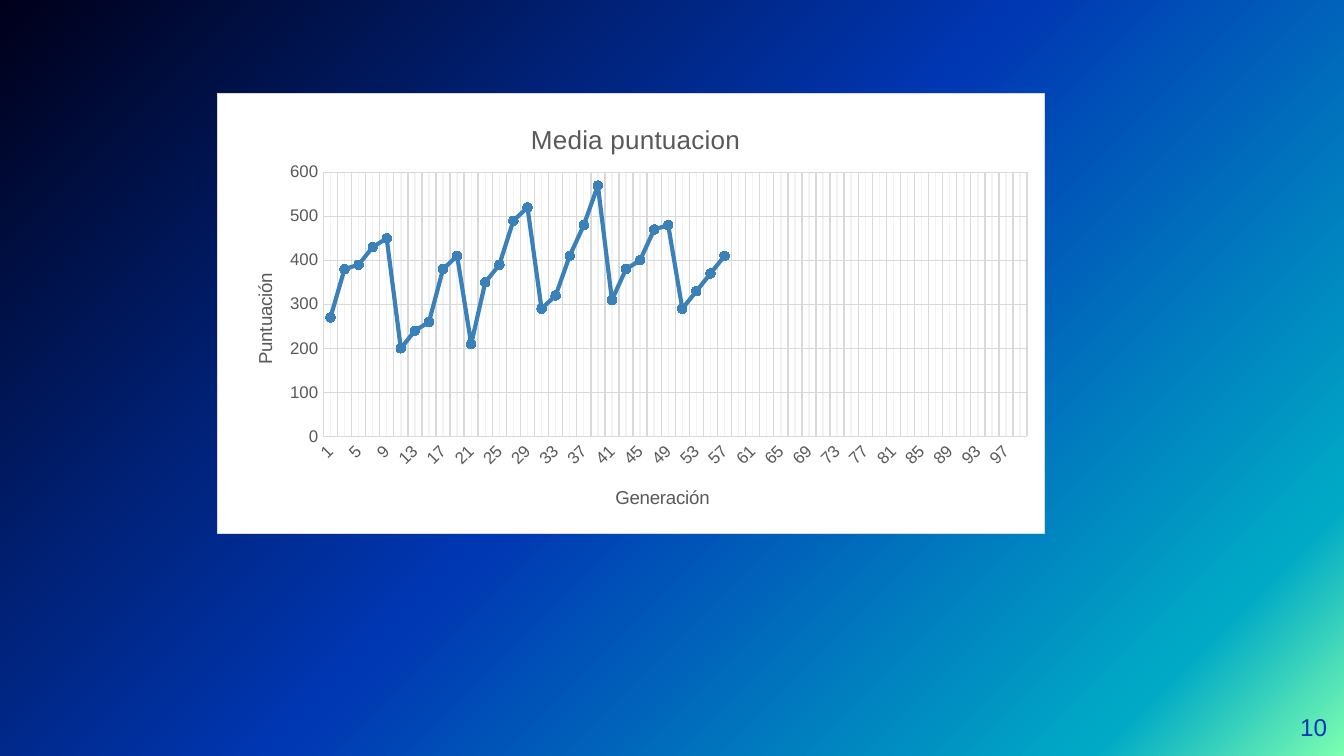
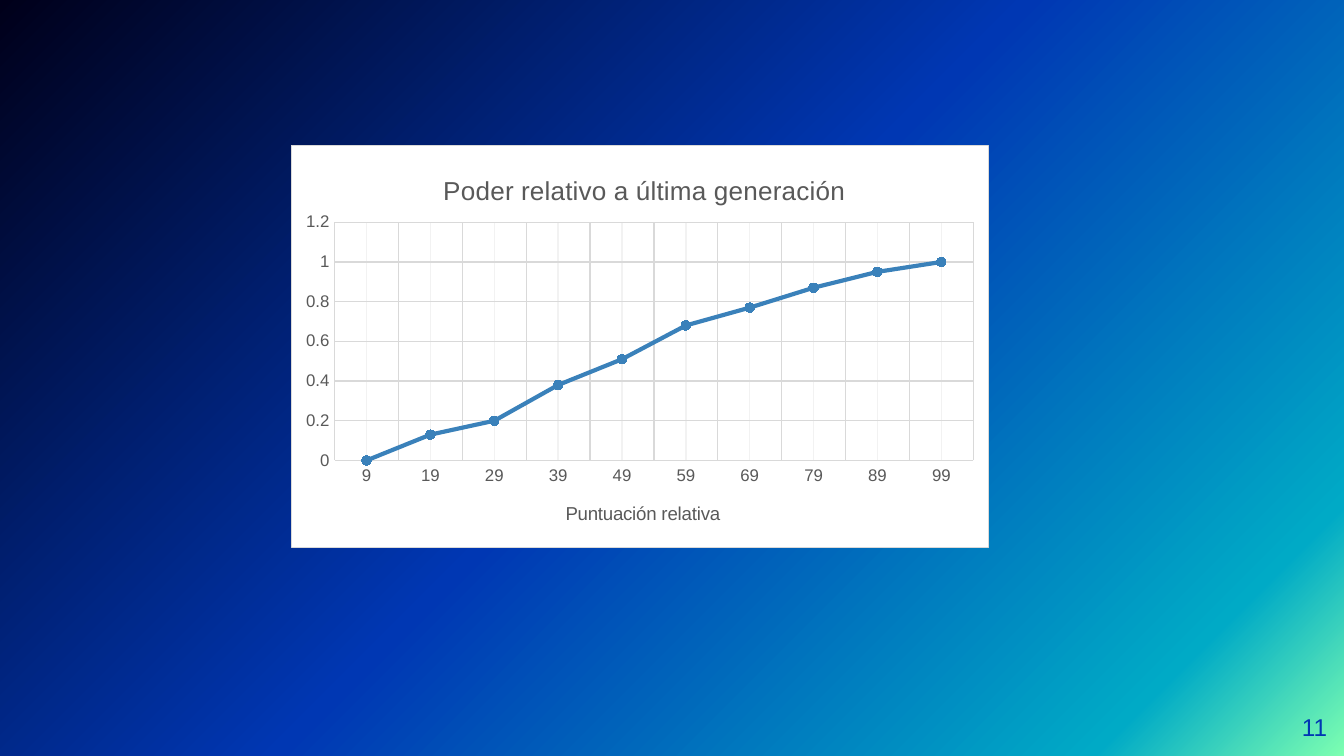
from dataclasses import dataclass

from lxml import etree
from pptx import Presentation
from pptx.chart.data import CategoryChartData
from pptx.dml.color import RGBColor
from pptx.enum.chart import XL_CHART_TYPE, XL_MARKER_STYLE, XL_TICK_MARK
from pptx.enum.text import MSO_ANCHOR, PP_ALIGN
from pptx.oxml import parse_xml
from pptx.oxml.ns import nsdecls, qn
from pptx.util import Pt

LINE = XL_CHART_TYPE.LINE_MARKERS
DOT = XL_MARKER_STYLE.CIRCLE
NO_TICK = XL_TICK_MARK.NONE
MIDDLE = MSO_ANCHOR.MIDDLE
RIGHT = PP_ALIGN.RIGHT
SCALE = 914400 / 134.4
WIDE, HIGH = 1344, 756


@dataclass(frozen=True)
class Theme:
    font: str = "Arial"
    blue: str = "0037B3"
    curve: str = "3A81BA"
    grey: str = "595959"
    grid: str = "D9D9D9"
    faint: str = "F2F2F2"
    black: str = "000000"
    white: str = "FFFFFF"
    back: tuple = ((0, "7DFFB1"), (12, "00AAC6"), (51, "0037B3"), (100, "00001A"))
    angle: int = 225
    head: int = 14
    page: int = 13
    body: int = 10
    tick: int = 9
    thin: float = 0.75
    thick: float = 2.25


THEME = Theme()

SCORES = [270, 380, 390, 430, 450, 200, 240, 260, 380, 410,
          210, 350, 390, 490, 520, 290, 320, 410, 480, 570,
          310, 380, 400, 470, 480, 290, 330, 370, 410]
POWERS = [0, 0.13, 0.2, 0.38, 0.51, 0.68, 0.77, 0.87, 0.95, 1]


def px(n):
    return round(n * SCALE)


def style(font, size, color):
    font.name = THEME.font
    font.size = Pt(size)
    font.bold = False
    font.color.rgb = RGBColor.from_string(color)


def stroke(line, color, width):
    line.color.rgb = RGBColor.from_string(color)
    line.width = Pt(width)


def paint(master):
    """Give every slide the diagonal gradient."""
    fill = master.background.fill
    fill.gradient()
    grad = master.element.find(".//" + qn("a:gradFill"))
    stops = grad.find(qn("a:gsLst"))
    for stop in list(stops):
        stops.remove(stop)
    for at, color in THEME.back:
        stop = etree.SubElement(stops, qn("a:gs"), pos=str(at * 1000))
        etree.SubElement(stop, qn("a:srgbClr"), val=color)
    line = grad.find(qn("a:lin"))
    line.set("ang", str(THEME.angle * 60000))
    line.set("scaled", "0")


def add_page(slide, num):
    box = slide.shapes.add_textbox(px(1246), px(698), px(81), px(58))
    frame = box.text_frame
    frame.word_wrap = True
    frame.vertical_anchor = MIDDLE
    frame.margin_left = frame.margin_right = 0
    frame.margin_top = frame.margin_bottom = 0
    frame.text = str(num)
    para = frame.paragraphs[0]
    para.alignment = RIGHT
    style(para.runs[0].font, THEME.page, THEME.blue)


def layout(area, spot):
    """Layout of a chart part, from slide px to shares of the chart area."""
    left, top, wide, high = area
    x, y, *size = spot
    vals = {"x": (x - left) / wide, "y": (y - top) / high}
    node = etree.Element(qn("c:layout"))
    part = etree.SubElement(node, qn("c:manualLayout"))
    if size:
        etree.SubElement(part, qn("c:layoutTarget"), val="inner")
        vals.update(w=size[0] / wide, h=size[1] / high)
    for tag in ("xMode", "yMode"):
        etree.SubElement(part, qn("c:" + tag), val="edge")
    for tag, val in vals.items():
        etree.SubElement(part, qn("c:" + tag), val=f"{val:.4f}")
    return node


def drop_layout(node):
    for old in node.findall(qn("c:layout")):
        node.remove(old)


def set_title(owner, text, size, area, spot):
    """Title a chart or an axis, with its top left corner at spot."""
    owner.has_title = True
    title = owner.chart_title if hasattr(owner, "chart_title") else owner.axis_title
    frame = title.text_frame
    frame.text = text
    style(frame.paragraphs[0].runs[0].font, size, THEME.grey)
    node = frame._txBody.getparent().getparent()
    drop_layout(node)
    node.find(qn("c:tx")).addnext(layout(area, spot))
    return frame


def set_axis(axis):
    axis.major_tick_mark = axis.minor_tick_mark = NO_TICK
    axis.has_major_gridlines = True
    stroke(axis.major_gridlines.format.line, THEME.grid, THEME.thin)
    style(axis.tick_labels.font, THEME.tick, THEME.grey)


def shape_props(color, fill=""):
    """Chart part properties: a thin line and an optional fill."""
    return parse_xml(
        f'<c:spPr {nsdecls("c", "a")}>{fill}<a:ln w="{int(Pt(THEME.thin))}">'
        f'<a:solidFill><a:srgbClr val="{color}"/></a:solidFill></a:ln></c:spPr>')


def frame_chart(chart):
    """White chart area with a thin border."""
    fill = f'<a:solidFill><a:srgbClr val="{THEME.white}"/></a:solidFill>'
    chart.element.find(qn("c:chart")).addnext(shape_props(THEME.grid, fill))


def add_curve(slide, area, plot, cats, name, vals, top, step):
    data = CategoryChartData()
    data.categories = [str(cat) for cat in cats]
    data.add_series(name, vals + [None] * (len(cats) - len(vals)))
    chart = slide.shapes.add_chart(LINE, *map(px, area), data).chart
    chart.has_legend = False
    style(chart.font, THEME.body, THEME.black)
    frame_chart(chart)

    field = chart.element.find(".//" + qn("c:plotArea"))
    drop_layout(field)
    field.insert(0, layout(area, plot))

    cat, val = chart.category_axis, chart.value_axis
    for axis in (cat, val):
        set_axis(axis)
    stroke(cat.format.line, THEME.grid, THEME.thin)
    cat.has_minor_gridlines = True
    cat._element.find(qn("c:minorGridlines")).append(shape_props(THEME.faint))
    # This angle lets the labels slant only where they are crowded.
    cat._element.find(qn("c:txPr")).find(qn("a:bodyPr")).set("rot", "-60000000")
    val.format.line.fill.background()
    val.minimum_scale, val.maximum_scale, val.major_unit = 0, top, step
    val.tick_labels.number_format = "General"
    val.tick_labels.number_format_is_linked = False

    chart.plots[0].vary_by_categories = False
    line = chart.plots[0].series[0]
    line.smooth = False
    stroke(line.format.line, THEME.curve, THEME.thick)
    mark = line.marker
    mark.style, mark.size = DOT, 5
    mark.format.fill.solid()
    mark.format.fill.fore_color.rgb = RGBColor.from_string(THEME.curve)
    stroke(mark.format.line, THEME.curve, THEME.thin)
    return chart


def add_scores(slide):
    area = (217, 93, 828, 441)
    chart = add_curve(slide, area, (323, 172, 705, 265), range(1, 100, 2),
                      "Media puntuacion", SCORES, 600, 100)
    set_title(chart, "Media puntuacion", THEME.head, area, (526, 117))
    set_title(chart.category_axis, "Generación", THEME.body, area, (612, 483))
    side = set_title(chart.value_axis, "Puntuación", THEME.body, area, (249, 270))
    turn = side._txBody.find(qn("a:bodyPr"))
    turn.set("rot", "-5400000")
    turn.set("vert", "horz")


def add_powers(slide):
    area = (291, 145, 698, 403)
    chart = add_curve(slide, area, (334, 222, 640, 239), range(9, 100, 10),
                      "Series 1", POWERS, 1.2, 0.2)
    set_title(chart, "Poder relativo a última generación", THEME.head,
              area, (438, 168))
    set_title(chart.category_axis, "Puntuación relativa", THEME.body,
              area, (562, 499))
    chart.value_axis.has_title = False


def main():
    deck = Presentation()
    deck.slide_width, deck.slide_height = px(WIDE), px(HIGH)
    paint(deck.slide_master)
    blank = deck.slide_layouts[6]
    for num, draw in enumerate((add_scores, add_powers), 10):
        slide = deck.slides.add_slide(blank)
        add_page(slide, num)
        draw(slide)
    deck.save("out.pptx")


if __name__ == "__main__":
    main()
